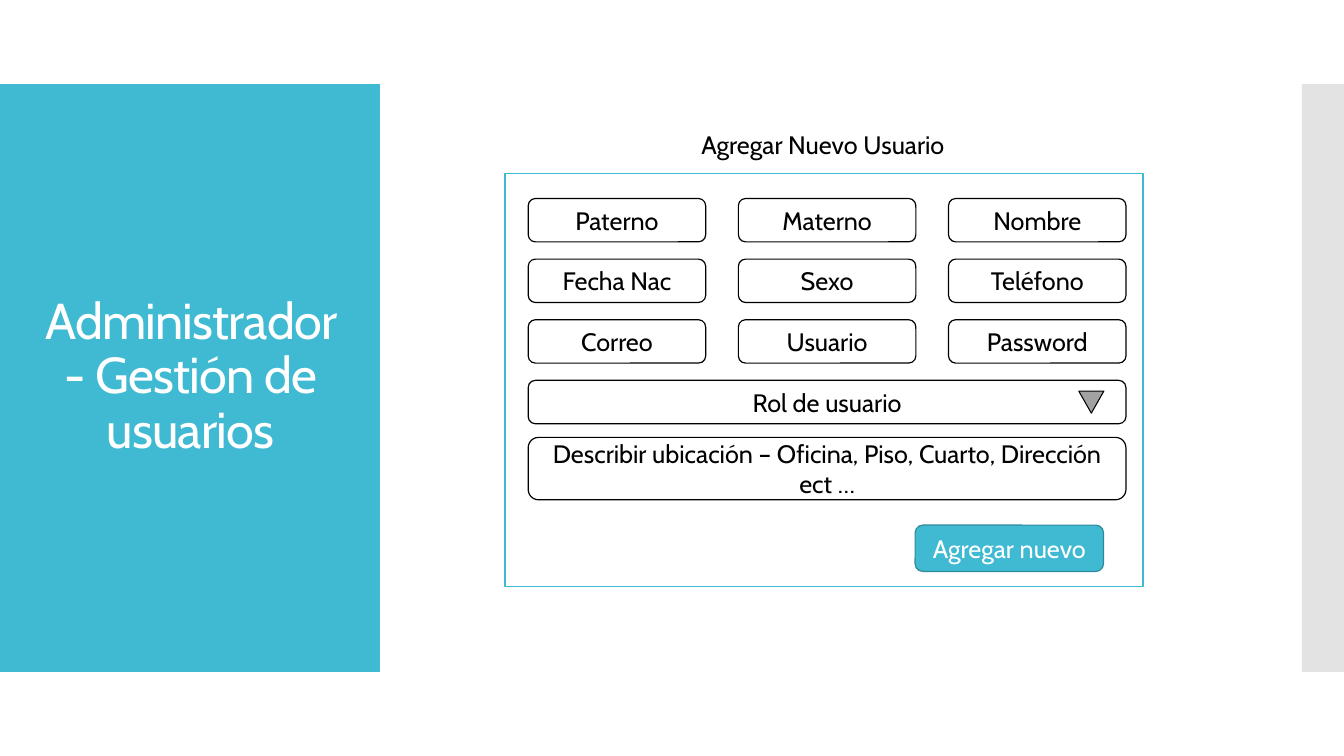
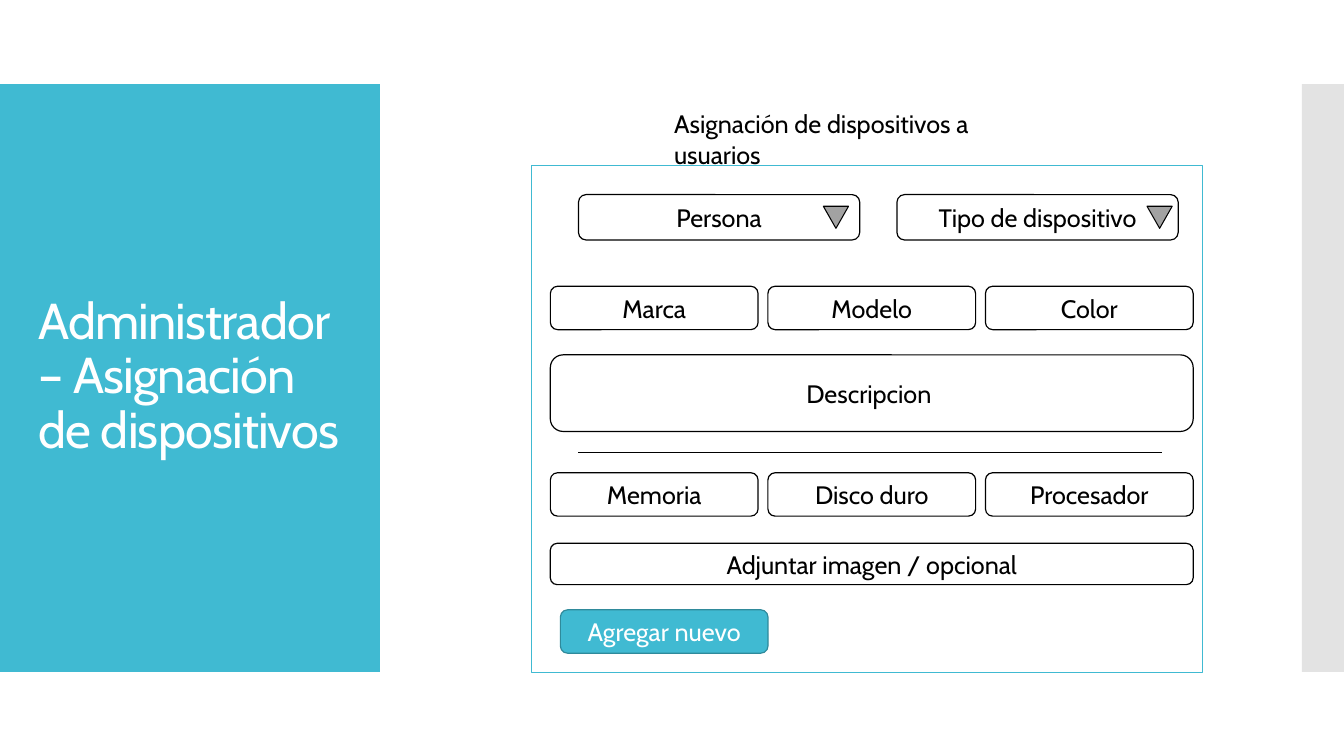
from collections import namedtuple

from lxml.etree import SubElement
from pptx import Presentation
from pptx.dml.color import RGBColor
from pptx.enum.shapes import MSO_CONNECTOR, MSO_SHAPE
from pptx.enum.text import MSO_ANCHOR, MSO_AUTO_SIZE, PP_ALIGN
from pptx.oxml.ns import qn
from pptx.util import Pt

TEAL = RGBColor(0x40, 0xBA, 0xD2)
DARK_TEAL = RGBColor(0x2F, 0x8A, 0x9B)
SILVER = RGBColor(0xC8, 0xC8, 0xC8)
GRAY = RGBColor(0xA2, 0xA2, 0xA2)
BLACK = RGBColor(0, 0, 0)
WHITE = RGBColor(0xFF, 0xFF, 0xFF)

FONT = "Cabin"
FIELD_HEIGHT = 31
TITLE_ONLY = 5

Box = namedtuple("Box", "left top width height")


def inside(box, left, top, width, height):
    return Box(box.left + left, box.top + top, width, height)


def in_points(box):
    return [Pt(length) for length in box]


def columns(box, count, gap):
    width = (box.width - gap * (count - 1)) / count
    return [inside(box, index * (width + gap), 0, width, box.height)
            for index in range(count)]


def style_paragraph(paragraph, size, color, alignment):
    paragraph.alignment = alignment
    paragraph.font.name = FONT
    paragraph.font.size = Pt(size)
    paragraph.font.color.rgb = color


def add_box(slide, kind, box, fill, line=None, line_width=0.85):
    shape = slide.shapes.add_shape(kind, *in_points(box))
    shape.shadow.inherit = False
    shape.fill.solid()
    shape.fill.fore_color.rgb = fill
    if line is None:
        shape.line.fill.background()
    else:
        shape.line.color.rgb = line
        shape.line.width = Pt(line_width)
    return shape


def add_panel(slide, box):
    add_box(slide, MSO_SHAPE.RECTANGLE, box, WHITE, TEAL)


def add_field(slide, box, text, fill=WHITE, line=BLACK, color=BLACK):
    shape = add_box(slide, MSO_SHAPE.ROUNDED_RECTANGLE, box, fill, line)
    frame = shape.text_frame
    frame.word_wrap = True
    frame.vertical_anchor = MSO_ANCHOR.MIDDLE
    frame.text = text
    style_paragraph(frame.paragraphs[0], 18, color, PP_ALIGN.CENTER)


def add_field_row(slide, box, labels, gap):
    for label, cell in zip(labels, columns(box, len(labels), gap)):
        add_field(slide, cell, label)


def add_select(slide, box, text, arrow_inset):
    add_field(slide, box, text)
    width, height = 18, 15.8
    arrow_box = inside(box, box.width - arrow_inset,
                       (box.height - height) / 2, width, height)
    arrow = add_box(slide, MSO_SHAPE.ISOSCELES_TRIANGLE, arrow_box,
                    GRAY, BLACK, 0.75)
    arrow.rotation = 180


def add_button(slide, box):
    add_field(slide, box, "Agregar nuevo", TEAL, DARK_TEAL, WHITE)


def add_caption(slide, box, text, wrap):
    frame = slide.shapes.add_textbox(*in_points(box)).text_frame
    frame.word_wrap = wrap
    frame.auto_size = MSO_AUTO_SIZE.SHAPE_TO_FIT_TEXT
    frame.text = text
    style_paragraph(frame.paragraphs[0], 18, BLACK, PP_ALIGN.LEFT)


def add_divider(slide, left, right, y):
    divider = slide.shapes.add_connector(
        MSO_CONNECTOR.STRAIGHT, Pt(left), Pt(y), Pt(right), Pt(y))
    divider.line.color.rgb = BLACK
    divider.line.width = Pt(0.75)
    SubElement(divider.element.spPr, qn("a:effectLst"))


def add_layout_bands(layout, slide):
    title_band = add_box(slide, MSO_SHAPE.RECTANGLE,
                         Box(0, 60, 271.4, 420), TEAL)
    edge_band = add_box(slide, MSO_SHAPE.RECTANGLE,
                        Box(930, 60, 30, 420), SILVER)
    color = edge_band.element.spPr.find(".//" + qn("a:srgbClr"))
    SubElement(color, qn("a:alpha"), val="50000")
    for band in (edge_band, title_band):
        layout.shapes.element.insert(2, band.element)


def set_title(slide, text, alignment):
    title = slide.shapes.title
    title.left, title.top, title.width, title.height = in_points(
        Box(20.2, 88.6, 231.8, 362.2))
    frame = title.text_frame
    frame.auto_size = MSO_AUTO_SIZE.NONE
    frame.word_wrap = True
    frame.vertical_anchor = MSO_ANCHOR.MIDDLE
    frame.text = text
    paragraph = frame.paragraphs[0]
    style_paragraph(paragraph, 36, WHITE, alignment)
    paragraph.line_spacing = 0.9
    paragraph.runs[0].font._element.set("spc", "-60")


def build_user_form(slide, box):
    set_title(slide, "Administrador- Gestión de usuarios", PP_ALIGN.CENTER)
    add_panel(slide, box)
    add_caption(slide, inside(box, 133.2, -35.2, 189.4, 28.8),
                "Agregar Nuevo Usuario", False)
    rows = (
        ("Paterno", "Materno", "Nombre"),
        ("Fecha Nac", "Sexo", "Teléfono"),
        ("Correo", "Usuario", "Password"),
    )
    left, top, width, pitch = 16.6, 18, 427, 43.3
    for index, labels in enumerate(rows):
        row = inside(box, left, top + index * pitch, width, FIELD_HEIGHT)
        add_field_row(slide, row, labels, 23.3)
    role = inside(box, left, top + len(rows) * pitch, width, FIELD_HEIGHT)
    add_select(slide, role, "Rol de usuario", 33.8)
    add_field(slide, inside(box, left, 188.6, width, 44.6),
              "Describir ubicación – Oficina, Piso, Cuarto, Dirección ect …")
    add_button(slide, inside(box, 293, 251.3, 134.6, 33.1))


def build_device_form(slide, box):
    set_title(slide, "Administrador – Asignación de dispositivos",
              PP_ALIGN.LEFT)
    add_panel(slide, box)
    add_caption(slide, inside(box, 95, -44, 290.2, 28.8),
                "Asignación de dispositivos a usuarios", True)
    selects = columns(inside(box, 33.8, 20.9, 428.4, 32.4), 2, 26.6)
    add_select(slide, selects[0], "Persona", 26)
    add_select(slide, selects[1], "Tipo de dispositivo", 22.3)
    left, width, gap = 13.7, 459.2, 7
    add_field_row(slide, inside(box, left, 86.4, width, FIELD_HEIGHT),
                  ("Marca", "Modelo", "Color"), gap)
    add_field(slide, inside(box, left, 135.4, width, 54.7), "Descripcion ")
    add_divider(slide, box.left + 33.8, box.left + 450.7, box.top + 205.2)
    add_field_row(slide, inside(box, left, 219.6, width, FIELD_HEIGHT),
                  ("Memoria", "Disco duro", "Procesador"), gap)
    add_field(slide, inside(box, left, 270, width, 29.5),
              "Adjuntar imagen / opcional")
    add_button(slide, inside(box, 20.9, 317.5, 148.3, FIELD_HEIGHT))


def main():
    presentation = Presentation()
    presentation.slide_width = Pt(960)
    presentation.slide_height = Pt(540)
    layout = presentation.slide_layouts[TITLE_ONLY]
    user_slide = presentation.slides.add_slide(layout)
    add_layout_bands(layout, user_slide)
    build_user_form(user_slide, Box(360.7, 123.8, 455.8, 295.2))
    device_slide = presentation.slides.add_slide(layout)
    build_device_form(device_slide, Box(379.4, 118.1, 479.5, 362.2))
    presentation.save("out.pptx")


if __name__ == "__main__":
    main()
